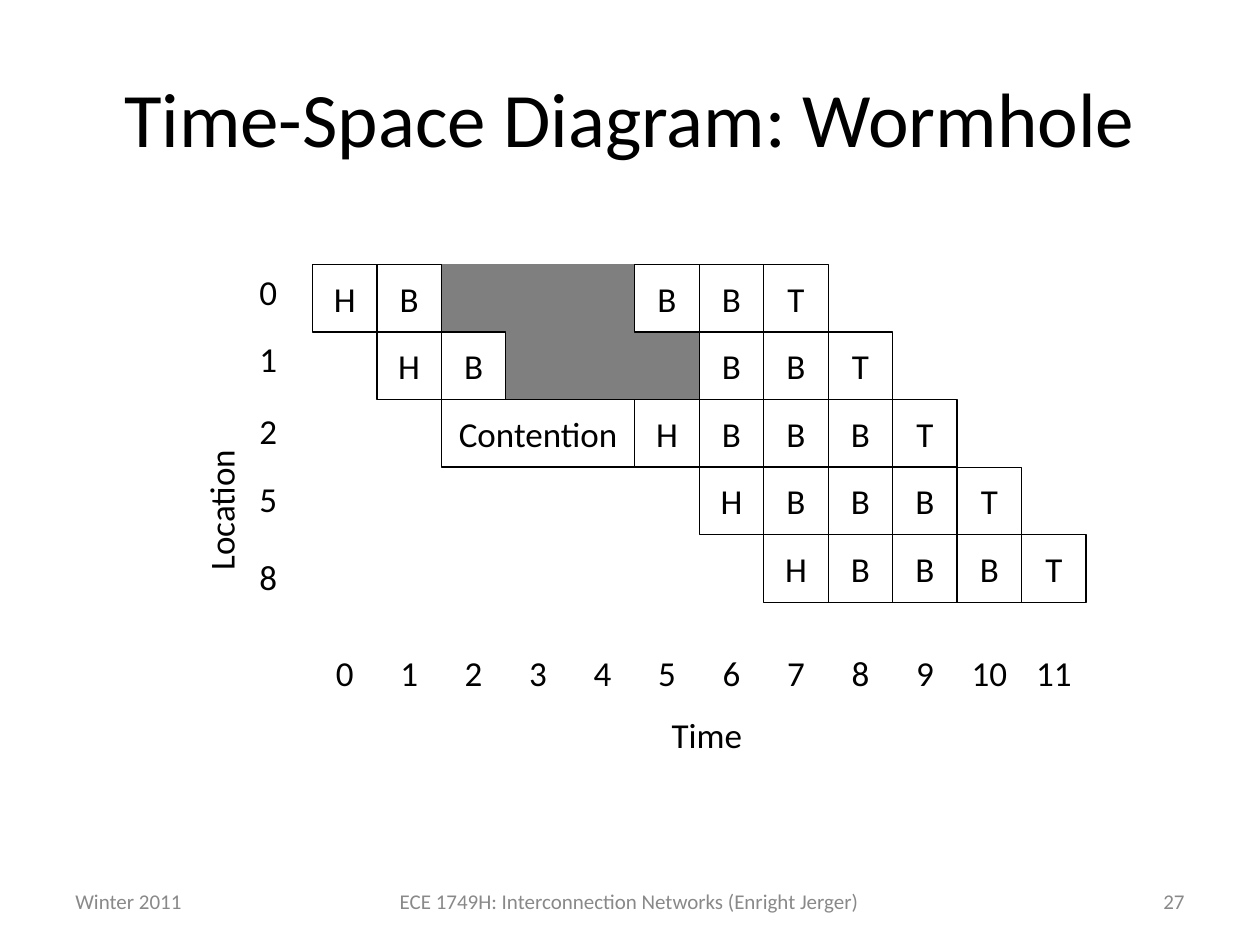
"""Build the wormhole time-space diagram slide."""
from pptx import Presentation
from pptx.dml.color import RGBColor
from pptx.enum.shapes import MSO_SHAPE
from pptx.enum.text import MSO_ANCHOR, PP_ALIGN
from pptx.util import Inches, Pt


def style_text(shape, text, size=20, color="000000", align=PP_ALIGN.CENTER, anchor=MSO_ANCHOR.MIDDLE):
    frame = shape.text_frame
    frame.text = text
    frame.word_wrap = True
    frame.vertical_anchor = anchor
    paragraph = frame.paragraphs[0]
    paragraph.alignment = align
    font = paragraph.runs[0].font
    font.name = "Calibri"
    font.size = Pt(size)
    font.color.rgb = RGBColor.from_string(color)


def add_cell(row_top, column, span=1, text="", line="000000", fill=None):
    shape = slide.shapes.add_shape(
        MSO_SHAPE.RECTANGLE,
        Inches(grid_left + column * column_width), Inches(row_top),
        Inches(span * column_width), Inches(row_height),
    )
    shape.shadow.inherit = False
    shape.line.color.rgb = RGBColor.from_string(line)
    shape.line.width = Pt(0.75)
    if fill:
        shape.fill.solid()
        shape.fill.fore_color.rgb = RGBColor.from_string(fill)
    else:
        shape.fill.background()
    if text:
        style_text(shape, text)


presentation = Presentation()
presentation.slide_width = Inches(10)
presentation.slide_height = Inches(7.5)
slide = presentation.slides.add_slide(presentation.slide_layouts[6])

grid_left, grid_top = 2.48, 2.1
column_width = 6.14 / 12
row_height = 2.68 / 5

title = slide.shapes.add_textbox(Inches(0.5), Inches(0.3), Inches(9), Inches(1.25))
style_text(title, "Time-Space Diagram: Wormhole", size=44)

for row, stall_start in enumerate([2, 3]):
    add_cell(grid_top + row * row_height, stall_start, span=3, line="7F7F7F", fill="7F7F7F")

locations = [
    ("0", 2.1, 0, "HB...BBT"),
    ("1", 2.63, 1, "HB...BBT"),
    ("2", 3.2, 5, "HBBBT"),
    ("5", 3.74, 6, "HBBBT"),
    ("8", 4.36, 7, "HBBBT"),
]
for row, (location, label_top, start, flits) in enumerate(locations):
    label = slide.shapes.add_textbox(Inches(1.96), Inches(label_top), Inches(0.51), Inches(0.44))
    style_text(label, location, align=PP_ALIGN.LEFT, anchor=MSO_ANCHOR.TOP)
    for column, flit in enumerate(flits, start):
        if flit != ".":
            add_cell(grid_top + row * row_height, column, text=flit)

add_cell(grid_top + 2 * row_height, 2, span=3, text="Contention")

for time in range(12):
    add_cell(5.07, time, text=str(time), line="FFFFFF")

location_axis = slide.shapes.add_textbox(Inches(0.76), Inches(3.41), Inches(1.99), Inches(0.44))
location_axis.rotation = 270
style_text(location_axis, "Location", align=PP_ALIGN.LEFT, anchor=MSO_ANCHOR.TOP)

time_axis = slide.shapes.add_textbox(Inches(2.59), Inches(5.61), Inches(6.04), Inches(0.44))
style_text(time_axis, "Time", anchor=MSO_ANCHOR.TOP)

footers = [
    (0.5, 2.33, "Winter 2011", PP_ALIGN.LEFT),
    (2.83, 4.33, "ECE 1749H: Interconnection Networks (Enright Jerger)", PP_ALIGN.CENTER),
    (7.17, 2.33, "27", PP_ALIGN.RIGHT),
]
for left, width, text, align in footers:
    footer = slide.shapes.add_textbox(Inches(left), Inches(6.95), Inches(width), Inches(0.4))
    style_text(footer, text, size=12, color="898989", align=align)

presentation.save("out.pptx")
